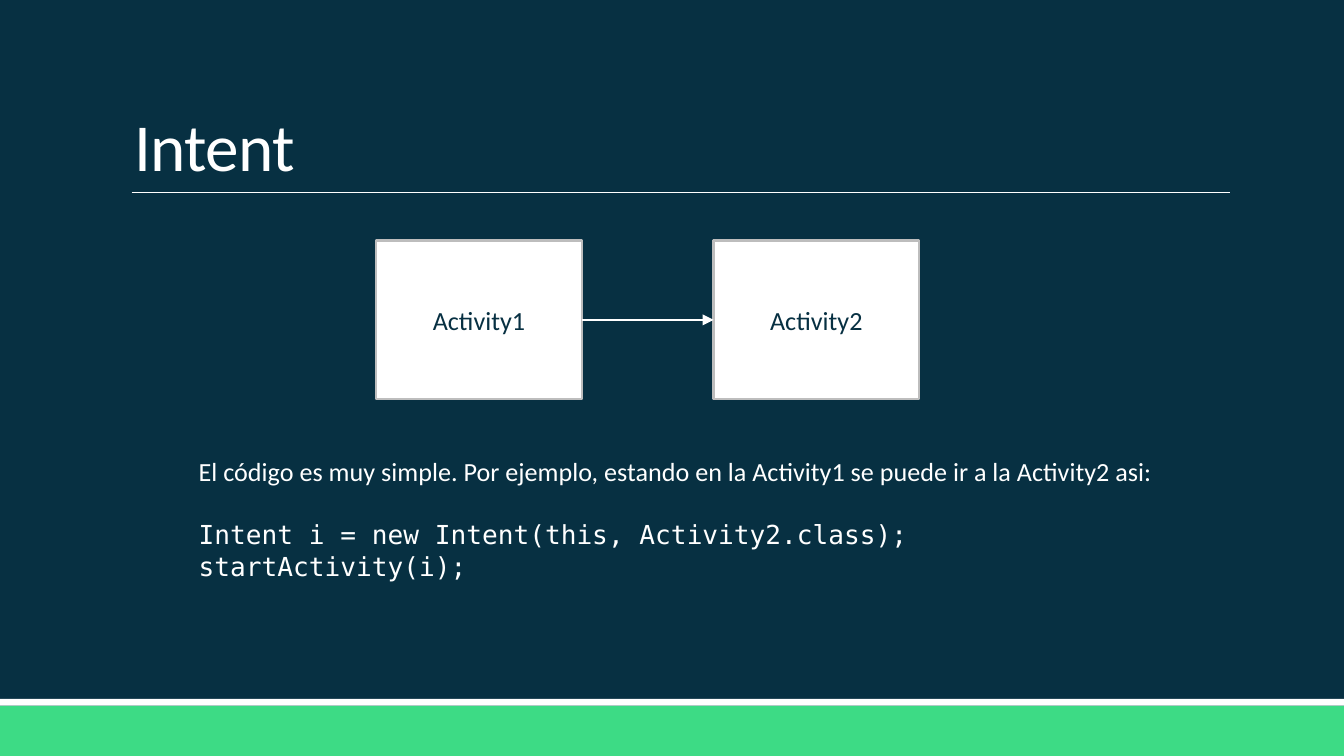
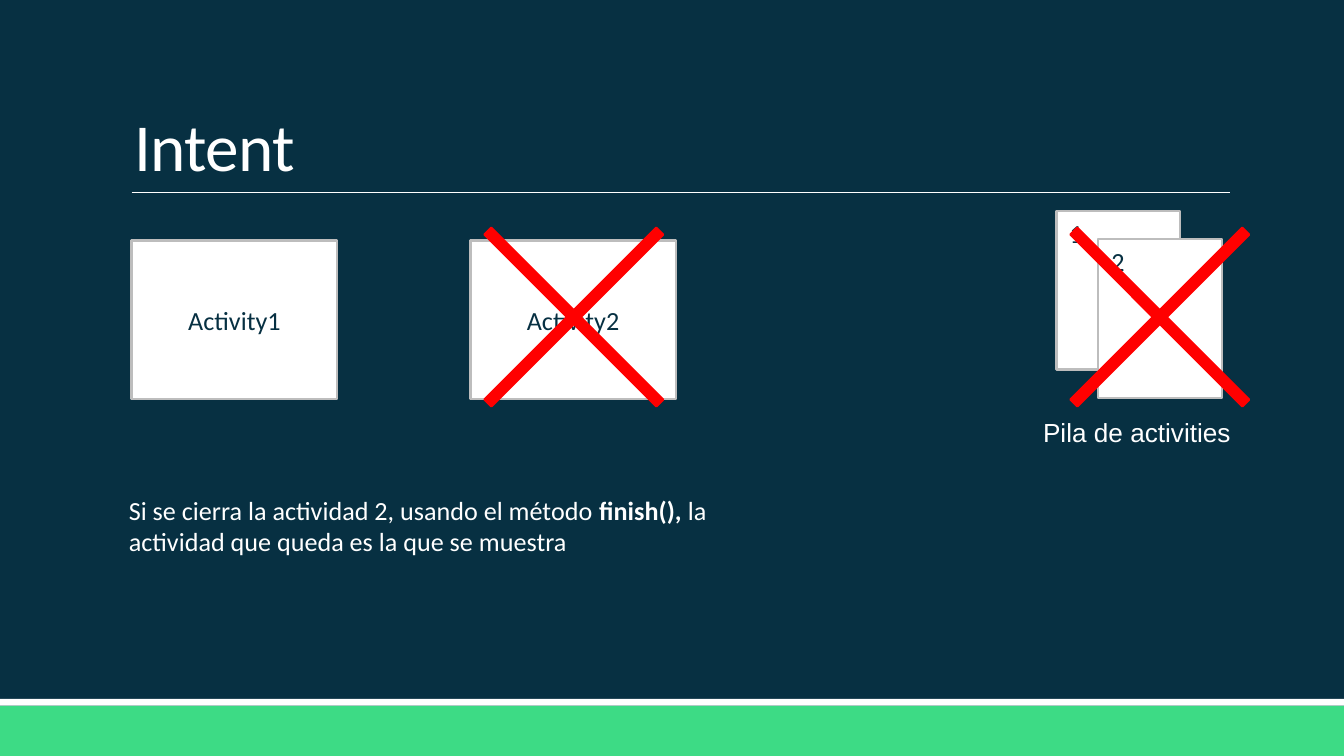
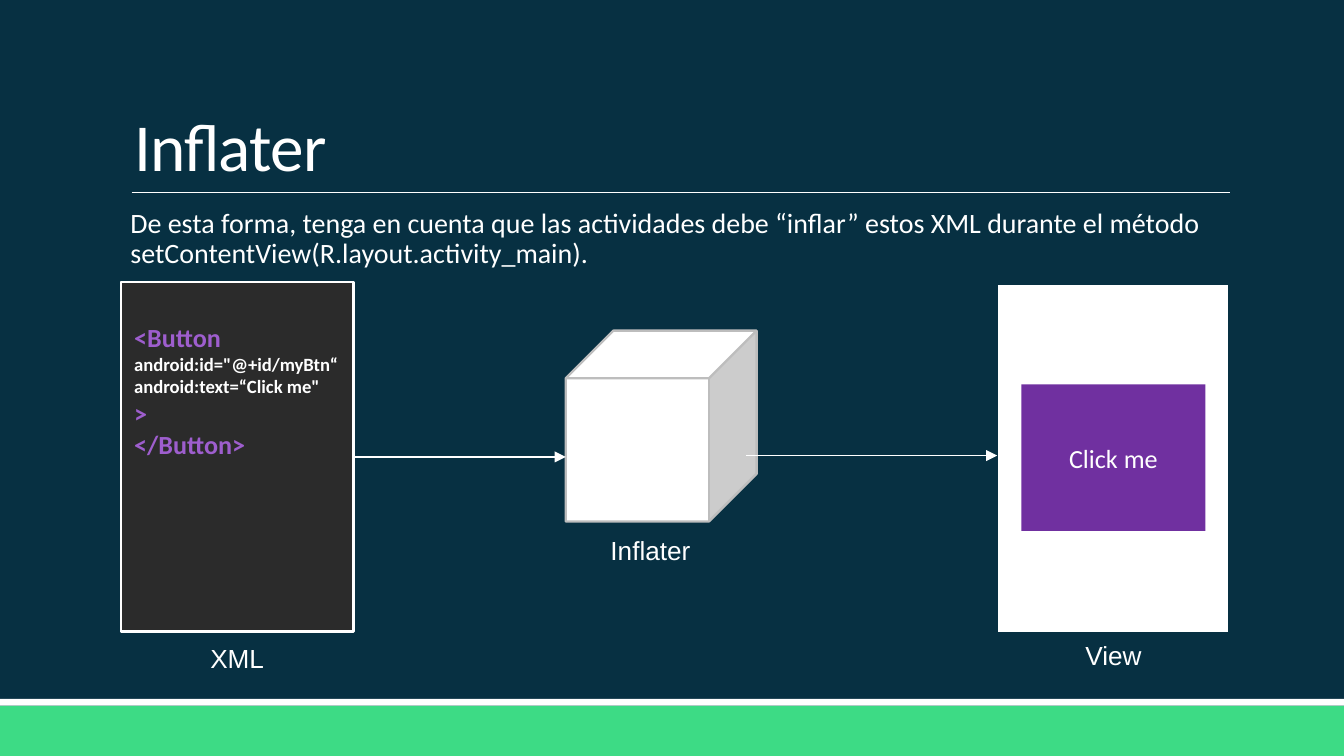
import pptx
import pptx.util
import pptx.dml.color
import pptx.enum.shapes
import pptx.enum.text
import pptx.oxml
import pptx.oxml.ns
from pptx.util import Inches, Pt

COLORS = {
    "navy": "073042",
    "green": "3DDB85",
    "white": "FFFFFF",
    "border": "BDBDBD",
    "red": "FF0000",
    "editor": "2B2B2B",
    "tag": "9E5ECE",
    "button": "7030A0",
}
SANS, CAPTION, MONO = "Calibri", "Arial", "DejaVu Sans Mono"
SHAPES = pptx.enum.shapes.MSO_SHAPE
ANCHOR = pptx.enum.text.MSO_ANCHOR
ALIGN = pptx.enum.text.PP_ALIGN

TITLE_BOX = (0.9, 0.24, 8.25, 1.19)
RULE_LEFT, RULE_RIGHT, RULE_TOP = 0.98, 9.15, 1.43
ACTIVITY_TOP, ACTIVITY_WIDTH, ACTIVITY_HEIGHT = 1.79, 1.53, 1.18


def rgb(name):
    return pptx.dml.color.RGBColor.from_string(COLORS[name])


def style(paragraph, color="white", size=14, font=SANS, bold=None):
    paragraph.font.size = Pt(size)
    paragraph.font.name = font
    paragraph.font.bold = bold
    paragraph.font.color.rgb = rgb(color)


def write(frame, lines, align=ALIGN.LEFT, **look):
    frame.word_wrap = True
    for number, line in enumerate(lines):
        paragraph = frame.paragraphs[0] if number == 0 else frame.add_paragraph()
        paragraph.text = line
        paragraph.alignment = align
        style(paragraph, **look)
    return frame.paragraphs


def add_text(slide, box, lines, grow=True, **look):
    frame = slide.shapes.add_textbox(*map(Inches, box)).text_frame
    write(frame, lines, **look)
    if grow:
        frame.auto_size = pptx.enum.text.MSO_AUTO_SIZE.SHAPE_TO_FIT_TEXT
    return frame


def add_block(slide, box, fill, line=None, kind=SHAPES.RECTANGLE):
    block = slide.shapes.add_shape(kind, *map(Inches, box))
    block.shadow.inherit = False
    block.fill.solid()
    block.fill.fore_color.rgb = rgb(fill)
    if line:
        block.line.color.rgb = rgb(line)
        block.line.width = Pt(1.25)
    else:
        block.line.fill.background()
    return block


def add_line(slide, start, end, width, arrow=False):
    connector = slide.shapes.add_connector(
        pptx.enum.shapes.MSO_CONNECTOR.STRAIGHT, *map(Inches, start + end))
    connector.line.color.rgb = rgb("white")
    connector.line.width = Pt(width)
    properties = connector.element.spPr
    if arrow:
        head = pptx.oxml.parse_xml(
            "<a:tailEnd %s type='triangle'/>" % pptx.oxml.ns.nsdecls("a"))
        connector.line._get_or_add_ln().append(head)
    properties.append(pptx.oxml.parse_xml(
        "<a:effectLst %s/>" % pptx.oxml.ns.nsdecls("a")))


def add_arrow(slide, left, right, y):
    add_line(slide, (left, y), (right, y), 1, arrow=True)


def add_caption(slide, center, top, text, width=1.41):
    add_text(slide, (center - width / 2, top, width, 0.34), [text],
             align=ALIGN.CENTER, font=CAPTION)


def add_activity(slide, left, name):
    box = (left, ACTIVITY_TOP, ACTIVITY_WIDTH, ACTIVITY_HEIGHT)
    activity = add_block(slide, box, "white", "border")
    activity.text_frame.vertical_anchor = ANCHOR.MIDDLE
    write(activity.text_frame, [name], align=ALIGN.CENTER, color="navy")


def add_stacked_card(slide, left, top, number):
    card = add_block(slide, (left, top, 0.92, ACTIVITY_HEIGHT), "white", "border")
    card.text_frame.vertical_anchor = ANCHOR.TOP
    write(card.text_frame, [number], color="navy")


def add_cross(slide, left):
    cross = add_block(slide, (left, 1.13, 2.46, 2.46), "red", "red",
                      SHAPES.MATH_MULTIPLY)
    cross.adjustments[0] = 0.029


def add_xml_file(slide, box):
    editor = add_block(slide, box, "editor", "white")
    frame = editor.text_frame
    frame.vertical_anchor = ANCHOR.TOP
    frame.margin_top = Inches(0.29)
    code = ["<Button", 'android:id="@+id/myBtn“', 'android:text=“Click me"',
            ">", "</Button>"]
    paragraphs = write(frame, code, color="tag", bold=True)
    for attribute in paragraphs[1:3]:
        style(attribute, size=10, bold=True)


def add_view(slide, box):
    left, top, width, height = box
    add_block(slide, box, "white", "navy")
    button = add_block(slide, (left + 0.18, top + 0.75, 1.37, 1.09), "button")
    button.text_frame.vertical_anchor = ANCHOR.MIDDLE
    write(button.text_frame, ["Click me"], align=ALIGN.CENTER)


def add_base_slide(deck, title):
    slide = deck.slides.add_slide(deck.slide_layouts[6])
    add_block(slide, (0, 5.25, 10, 0.38), "green")
    add_block(slide, (0, 5.2, 10, 0.05), "white")
    add_line(slide, (RULE_LEFT, RULE_TOP), (RULE_RIGHT, RULE_TOP), 0.5)
    frame = add_text(slide, TITLE_BOX, [title], grow=False, size=36)
    frame.vertical_anchor = ANCHOR.BOTTOM
    heading = frame.paragraphs[0]
    heading.line_spacing = 0.85
    heading.runs[0].font._element.set("spc", "-40")
    return slide


def build_start_activity(deck):
    slide = add_base_slide(deck, "Intent")
    explanation = add_text(slide, (1.38, 3.34, 7.4, 1.04), [
        "El código es muy simple. Por ejemplo, estando en la Activity1 "
        "se puede ir a la Activity2 asi:",
        "Intent i = new Intent(this, Activity2.class);",
        "startActivity(i);"])
    code = explanation.paragraphs[1:]
    for statement in code:
        statement.font.name = MONO
    code[0].space_before = Pt(17)
    first, second = 2.8, 5.31
    add_activity(slide, first, "Activity1")
    add_activity(slide, second, "Activity2")
    add_arrow(slide, first + ACTIVITY_WIDTH, second,
              ACTIVITY_TOP + ACTIVITY_HEIGHT / 2)


def build_finish_activity(deck):
    slide = add_base_slide(deck, "Intent")
    explanation = add_text(slide, (0.86, 3.63, 5.01, 0.57), [
        "Si se cierra la actividad 2, usando el método "]).paragraphs[0]
    method = explanation.add_run()
    method.text = "finish(), "
    method.font.bold = True
    explanation.add_run().text = "la actividad que queda es la que se muestra"
    add_activity(slide, 0.98, "Activity1")
    add_activity(slide, 3.5, "Activity2")
    add_stacked_card(slide, 7.86, 1.57, "1")
    add_stacked_card(slide, 8.17, 1.78, "2")
    add_caption(slide, 8.46, 3.05, "Pila de activities", width=2.2)
    for left in (3.04, 7.4):
        add_cross(slide, left)


def build_inflater(deck):
    slide = add_base_slide(deck, "Inflater")
    body = add_text(slide, (0.9, 1.51, 8.25, 3.3), [
        "De esta forma, tenga en cuenta que las actividades debe “inflar” "
        "estos XML durante el método setContentView(R.layout.activity_main)."],
        grow=False, size=15)
    body.margin_left, body.margin_right = Inches(0.07), 0
    paragraph = body.paragraphs[0]
    paragraph.line_spacing = 0.9
    paragraph.space_before, paragraph.space_after = Pt(9), Pt(1.5)

    panel_width, panel_height = 1.73, 2.6
    xml_left, cube_left, view_left = 0.9, 4.21, 7.42
    add_xml_file(slide, (xml_left, 2.1, panel_width, panel_height))
    add_caption(slide, xml_left + panel_width / 2, 4.73, "XML")
    add_caption(slide, view_left + panel_width / 2, 4.71, "View")
    add_view(slide, (view_left, 2.11, panel_width, panel_height))
    add_block(slide, (cube_left, 2.46, 1.42, 1.42), "white", "border", SHAPES.CUBE)
    add_caption(slide, 4.84, 3.93, "Inflater")
    add_arrow(slide, xml_left + panel_width, cube_left, 3.4)
    add_arrow(slide, 5.55, view_left, 3.39)


deck = pptx.Presentation()
deck.slide_width = Inches(10)
deck.slide_height = Inches(10) * 9 // 16
backdrop = deck.slide_master.background.fill
backdrop.solid()
backdrop.fore_color.rgb = rgb("navy")
build_start_activity(deck)
build_finish_activity(deck)
build_inflater(deck)
deck.save("out.pptx")
